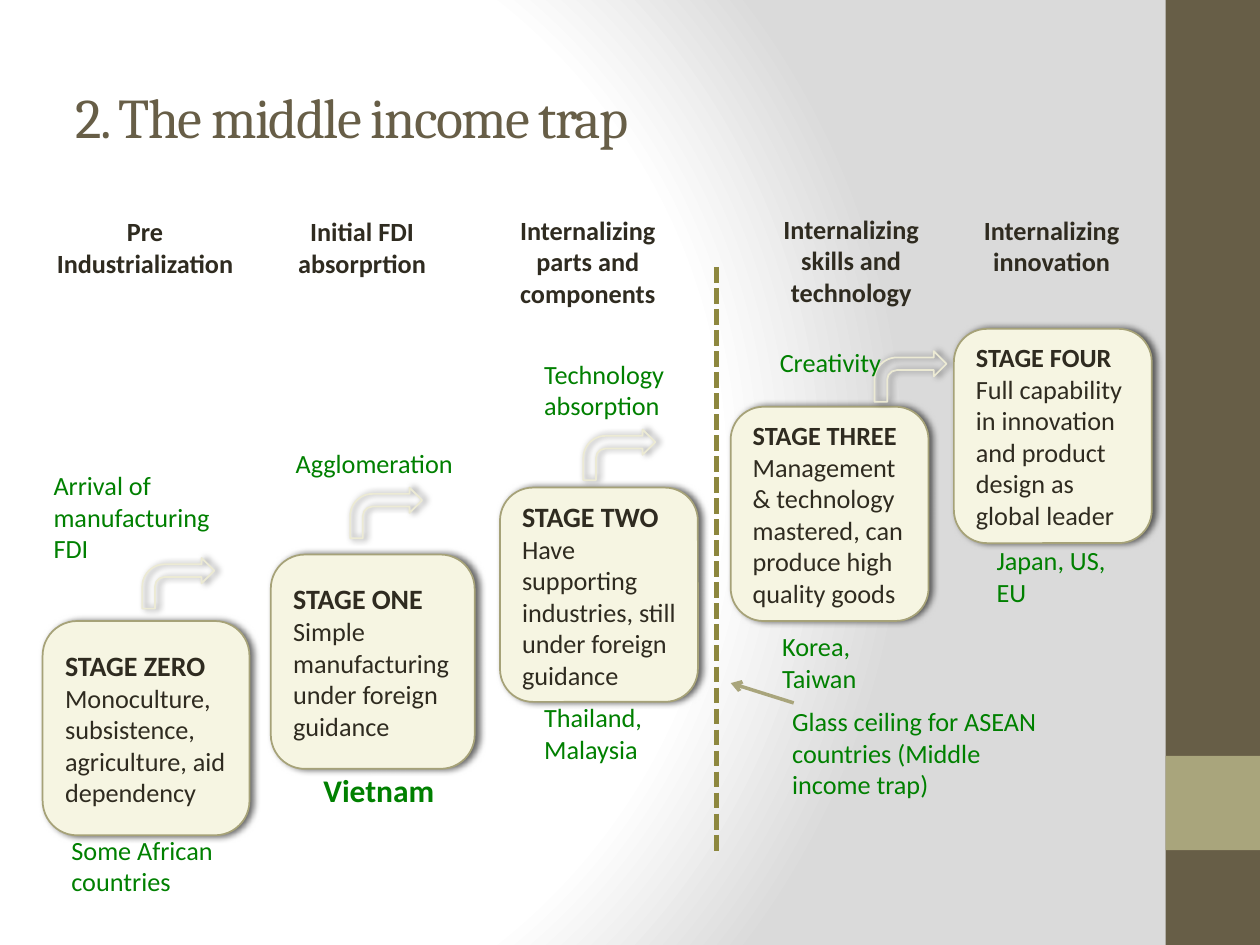
import pptx
import pptx.dml.color
import pptx.enum.dml
import pptx.enum.shapes
import pptx.enum.text
import pptx.oxml
import pptx.oxml.ns
import pptx.util

Cm, Pt = pptx.util.Cm, pptx.util.Pt
RGBColor = pptx.dml.color.RGBColor
SHAPES = pptx.enum.shapes.MSO_SHAPE
ANCHOR = pptx.enum.text.MSO_ANCHOR
ALIGN = pptx.enum.text.PP_ALIGN

BROWN = RGBColor(0x67, 0x5E, 0x47)
SAGE = RGBColor(0xA9, 0xA5, 0x7C)
OLIVE = RGBColor(0x8D, 0x87, 0x3E)
CREAM = RGBColor(0xF6, 0xF5, 0xE2)
BOX_LINE = RGBColor(0xA6, 0xA2, 0x78)
ARROW_LINE = RGBColor(0xEC, 0xEA, 0xD4)
DARK = RGBColor(0x2F, 0x2B, 0x20)
GREEN = RGBColor(0x00, 0x80, 0x00)

NAMESPACE = pptx.oxml.ns.nsdecls("a")
BACKGROUND = f"""<a:gradFill {NAMESPACE} rotWithShape="1"><a:gsLst>
<a:gs pos="0"><a:srgbClr val="FFFFFF"/></a:gs>
<a:gs pos="75000"><a:srgbClr val="FFFFFF"/></a:gs>
<a:gs pos="100000"><a:srgbClr val="DADADA"/></a:gs></a:gsLst>
<a:path path="circle"><a:fillToRect l="20000" t="50000" r="100000" b="50000"/></a:path>
</a:gradFill>"""
SHADOW = f"""<a:effectLst {NAMESPACE}><a:outerShdw blurRad="50800" dist="25400" dir="0"
rotWithShape="0"><a:srgbClr val="000000"><a:alpha val="60000"/></a:srgbClr>
</a:outerShdw></a:effectLst>"""

BODY = {"name": "Calibri", "size": Pt(15), "bold": False}
LABEL = BODY | {"color": GREEN}
HEADING = BODY | {"color": DARK, "bold": True}
BOX_HEIGHT = 4.32

# left, top, width, text, number of lines
HEADINGS = [
    (0.84, 4.22, 4.17, "Pre Industrialization", 2),
    (5.28, 4.22, 4.04, "Initial FDI absorprtion", 2),
    (9.83, 4.19, 4.04, "Internalizing parts and components", 3),
    (15.14, 4.17, 4.04, "Internalizing skills and technology", 3),
    (19.18, 4.19, 4.04, "Internalizing innovation", 2),
]

# Labels are (x, y, width, text, number of lines) and arrows (x, y), from the box corner
STAGES = [
    {"box": (0.86, 12.52, 4.17), "name": "STAGE ZERO", "size": 16,
     "text": "Monoculture, subsistence, agriculture, aid dependency",
     "country": (0.33, 4.17, 4.27, "Some African countries", 2),
     "arrow": (2.01, -1.27),
     "step": (-0.03, -3.18, 4.04, "Arrival of manufacturing FDI", 3)},
    {"box": (5.46, 11.18, 4.11), "name": "STAGE ONE", "size": 16,
     "text": "Simple manufacturing under foreign guidance",
     "country": (0.81, 4.24, 3.05, "Vietnam", 1),
     "country_format": {"size": Pt(18), "bold": True},
     "arrow": (1.6, -1.35),
     "step": (0.25, -2.29, 4.04, "Agglomeration", 1)},
    {"box": (10.08, 9.83, 3.99), "name": "STAGE TWO", "size": 16,
     "text": "Have supporting industries, still under foreign guidance",
     "country": (0.64, 4.19, 2.84, "Thailand, Malaysia", 2),
     "arrow": (1.68, -1.17),
     "step": (0.64, -2.74, 3.15, "Technology absorption", 2)},
    {"box": (14.73, 8.2, 3.99), "name": "STAGE THREE", "size": 15,
     "text": "Management & technology mastered, can produce high quality goods",
     "country": (0.79, 4.39, 2.84, "Korea, Taiwan", 2),
     "arrow": (2.9, -1.12),
     "step": (0.74, -1.35, 3.02, "Creativity", 1)},
    {"box": (19.23, 6.63, 3.99), "name": "STAGE FOUR", "size": 15,
     "text": "Full capability in innovation and product design as global leader",
     "country": (0.61, 4.22, 2.84, "Japan, US, EU", 2)},
]


def write(paragraph, text, formats):
    run = paragraph.add_run()
    run.text = text
    for key, value in formats.items():
        if key == "color":
            run.font.color.rgb = value
        else:
            setattr(run.font, key, value)
    return run


def add_label(slide, left, top, width, text, lines, formats, align=ALIGN.LEFT):
    height = 0.25 + lines * formats["size"].pt * 0.0427
    label = slide.shapes.add_textbox(Cm(left), Cm(top), Cm(width), Cm(height))
    label.text_frame.word_wrap = True
    label.text_frame.auto_size = pptx.enum.text.MSO_AUTO_SIZE.SHAPE_TO_FIT_TEXT
    paragraph = label.text_frame.paragraphs[0]
    paragraph.alignment = align
    write(paragraph, text, formats)


def add_shape(slide, kind, left, top, width, height, fill=None, line=None):
    """Add a preset shape; one with an outline also casts a shadow."""
    shape = slide.shapes.add_shape(kind, Cm(left), Cm(top), Cm(width), Cm(height))
    shape.shadow.inherit = False
    if fill is None:
        shape.fill.background()
    else:
        shape.fill.solid()
        shape.fill.fore_color.rgb = fill
    if line is None:
        shape.line.fill.background()
    else:
        shape.line.color.rgb = line
        shape.line.width = Pt(1)
        properties = shape.element.spPr
        effects = properties.find(pptx.oxml.ns.qn("a:effectLst"))
        properties.replace(effects, pptx.oxml.parse_xml(SHADOW))
    return shape


def add_line(slide, start, end, color, width):
    line = slide.shapes.add_connector(
        pptx.enum.shapes.MSO_CONNECTOR.STRAIGHT, *map(Cm, start + end))
    line.line.color.rgb = color
    line.line.width = Pt(width)
    line.element.spPr.append(pptx.oxml.parse_xml(f"<a:effectLst {NAMESPACE}/>"))
    return line


def add_stage(slide, stage):
    left, top, width = stage["box"]
    box = add_shape(slide, SHAPES.ROUNDED_RECTANGLE, left, top, width, BOX_HEIGHT,
                    CREAM, BOX_LINE)
    frame = box.text_frame
    frame.word_wrap = True
    frame.vertical_anchor = ANCHOR.MIDDLE
    write(frame.paragraphs[0], stage["name"], HEADING | {"size": Pt(stage["size"])})
    write(frame.add_paragraph(), stage["text"], BODY | {"color": DARK})
    for paragraph in frame.paragraphs:
        paragraph.alignment = ALIGN.LEFT

    x, y, *country = stage["country"]
    add_label(slide, left + x, top + y, *country,
              LABEL | stage.get("country_format", {}))
    if "arrow" in stage:
        x, y = stage["arrow"]
        add_shape(slide, SHAPES.BENT_ARROW, left + x, top + y, 1.45, 1.02,
                  line=ARROW_LINE)
        x, y, *step = stage["step"]
        add_label(slide, left + x, top + y, *step, LABEL)


def add_frame(slide):
    """Add the background, the side band and the title."""
    slide.background.fill.gradient()
    properties = slide.background.fill._xPr
    gradient = properties.find(pptx.oxml.ns.qn("a:gradFill"))
    properties.replace(gradient, pptx.oxml.parse_xml(BACKGROUND))
    add_shape(slide, SHAPES.RECTANGLE, 23.5, 0, 1.9, 19.05, BROWN)
    add_shape(slide, SHAPES.RECTANGLE, 23.5, 15.24, 1.9, 1.9, SAGE)

    title = slide.shapes.add_textbox(Cm(1.27), Cm(0.76), Cm(21.16), Cm(3.18))
    title.text_frame.word_wrap = True
    title.text_frame.vertical_anchor = ANCHOR.MIDDLE
    run = write(title.text_frame.paragraphs[0], "2. The middle income trap",
                {"name": "Cambria", "size": Pt(32), "color": BROWN})
    run.font._element.set("spc", "-100")


def add_glass_ceiling(slide):
    ceiling = add_line(slide, (14.45, 5.38), (14.45, 17.15), OLIVE, 3)
    ceiling.line.dash_style = pptx.enum.dml.MSO_LINE.SQUARE_DOT
    add_label(slide, 15.72, 14.1, 5.66,
              "Glass ceiling for ASEAN countries (Middle income trap)", 3, LABEL)
    pointer = add_line(slide, (16, 14.17), (14.73, 13.77), SAGE, 2)
    pointer.line._get_or_add_ln().append(
        pptx.oxml.parse_xml(f'<a:tailEnd {NAMESPACE} type="arrow"/>'))


def main():
    presentation = pptx.Presentation()
    presentation.slide_width, presentation.slide_height = Cm(25.4), Cm(19.05)
    slide = presentation.slides.add_slide(presentation.slide_layouts[6])
    add_frame(slide)
    add_glass_ceiling(slide)
    for heading in HEADINGS:
        add_label(slide, *heading, HEADING, ALIGN.CENTER)
    for stage in STAGES:
        add_stage(slide, stage)
    presentation.save("out.pptx")


if __name__ == "__main__":
    main()
